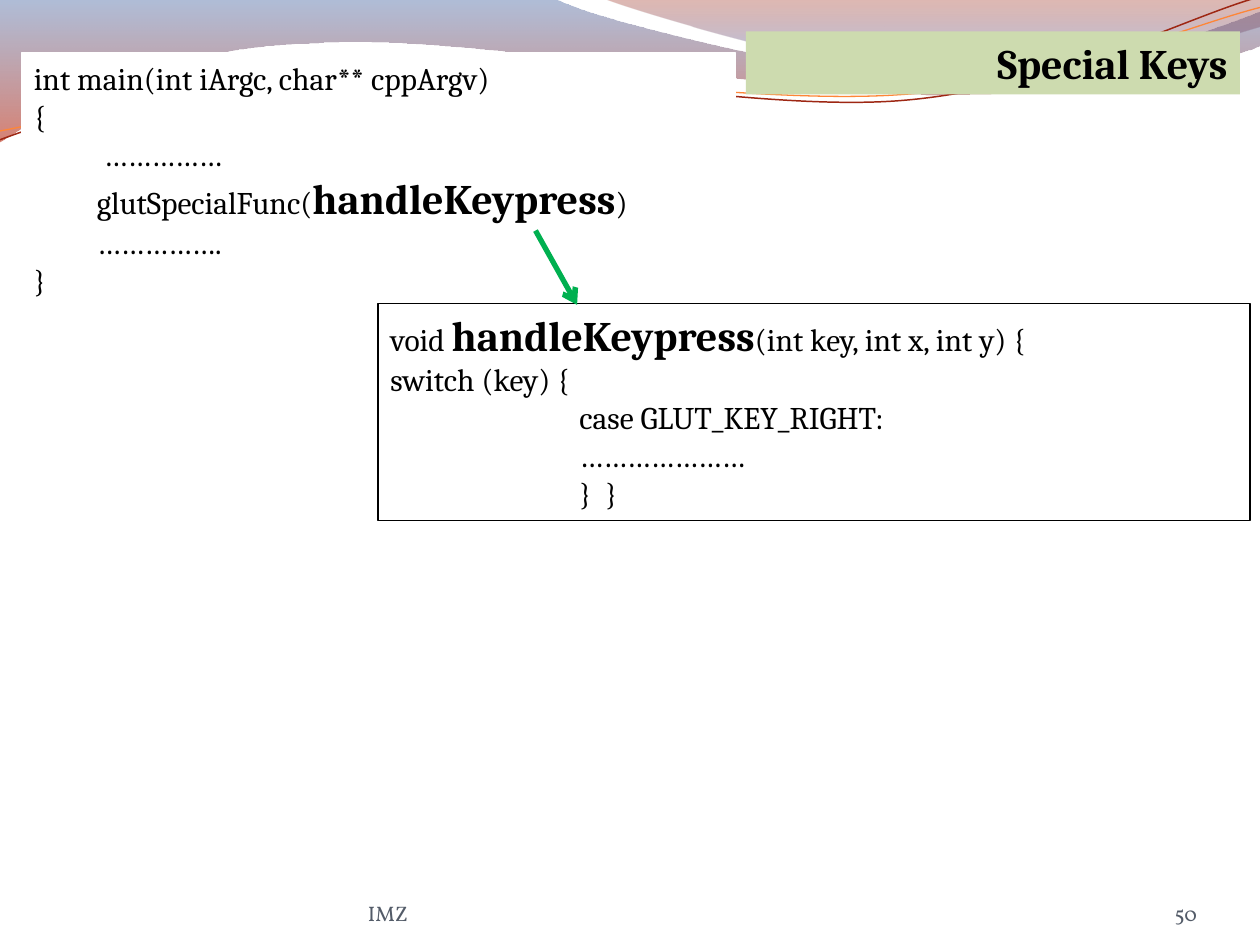
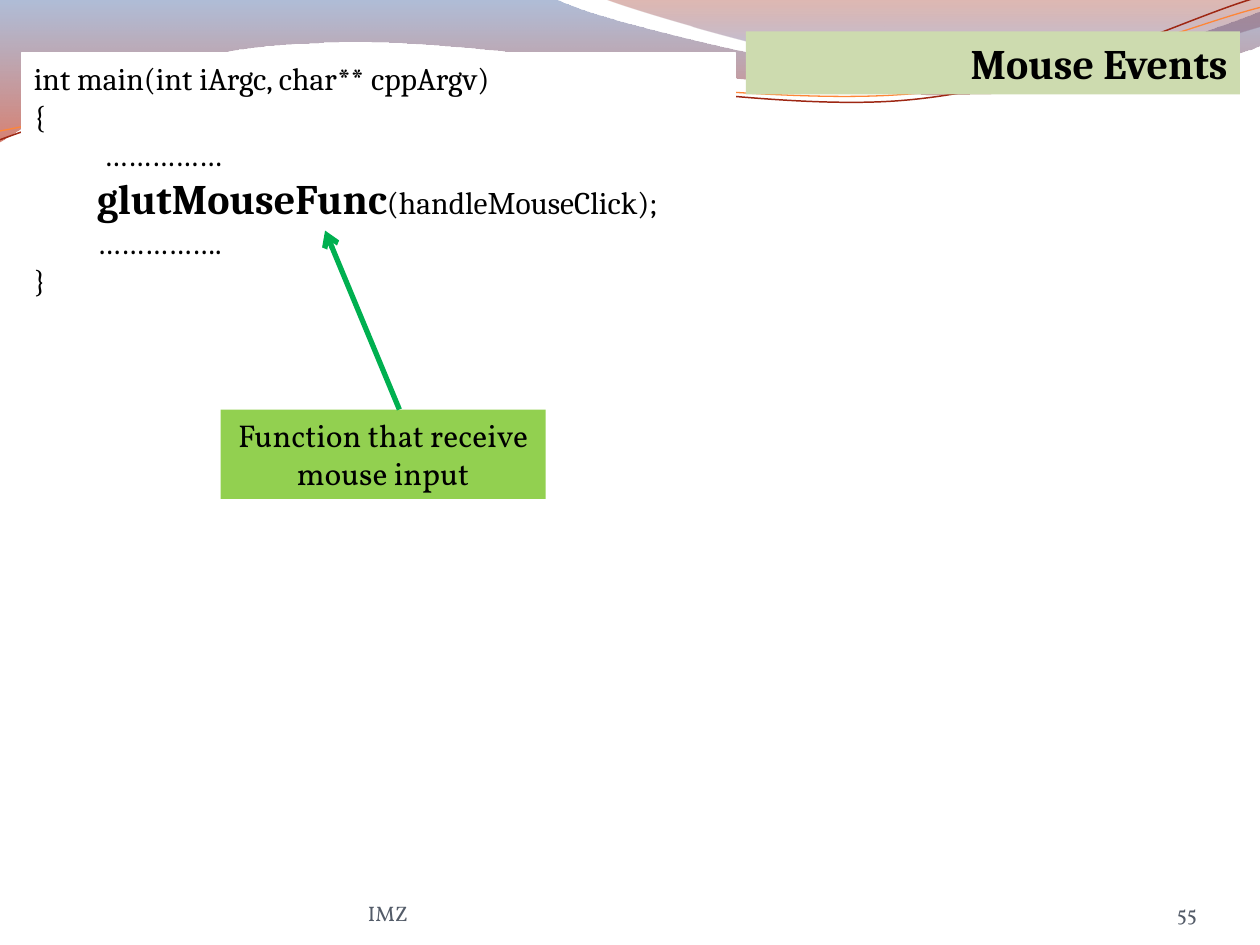
from dataclasses import dataclass
from math import cos, radians, sin
from lxml.etree import SubElement
from pptx import Presentation
from pptx.dml.color import RGBColor
from pptx.enum.shapes import MSO_CONNECTOR as CONN, MSO_SHAPE as SHAPE
from pptx.enum.text import MSO_ANCHOR as ANCHOR, MSO_AUTO_SIZE as FIT, PP_ALIGN as ALIGN
from pptx.oxml.ns import qn
from pptx.util import Inches, Pt


@dataclass(frozen=True)
class Theme:
    code_font: str = "Cambria"
    body_font: str = "Vollkorn"
    title_size: int = 24
    body_size: int = 18
    footer_size: int = 12
    ink: str = "000000"
    paper: str = "FFFFFF"
    footer: str = "535B68"
    title_band: str = "CDDBAF"
    callout: str = "92D050"
    arrow: str = "00B050"
    left_wave: tuple = ((0, "4F6EA8", 45), (1, "B61A00", 55))
    right_wave: tuple = ((0, "951500", 30), (0.8, "5681D1", 45))
    red_line: str = "9E2713"
    orange_line: str = "FE8637"


T = Theme()
RIBBON_TILT = 2.7
MAIN_BOX = (0.17, 0.42, 5.67, 2.02)

LEFT_WAVE = [
    (0, 0), (4.4, -0.01),
    (4.76, 0.17, 6.64, 0.63, 7.58, 0.63),
    (8.53, 0.63, 9.58, 0.26, 10, 0.09),
    (10.01, 0.36),
    (9.83, 0.44, 8.7, 0.76, 7.46, 0.75),
    (6.22, 0.75, 3.82, 0.28, 2.57, 0.34),
    (1.29, 0.36, 0.46, 0.83, -0.01, 1.13),
    (0, 0),
]
RIGHT_WAVE = [
    (4.79, -0.01),
    (5.09, 0.11, 6.82, 0.62, 7.69, 0.65),
    (8.56, 0.69, 9.61, 0.32, 10, 0.21),
    (10, 0), (4.79, -0.01),
]
RED_LINE = [
    (0, 1.11),
    (0.48, 0.93, 1.58, 0.57, 2.77, 0.52),
    (3.95, 0.47, 5.93, 0.89, 7.13, 0.8),
    (8.33, 0.71, 9.38, 0.15, 9.98, -0.02),
]
ORANGE_LINE = [
    (0, 1.04),
    (0.47, 0.96, 1.64, 0.61, 2.83, 0.56),
    (4.03, 0.51, 5.97, 0.84, 7.17, 0.75),
    (8.36, 0.67, 9.41, 0.21, 10, 0.06),
]


def rgb(color):
    return RGBColor.from_string(color)


def pairs(seg):
    return list(zip(seg[::2], seg[1::2]))


def add_outline(slide, outline, close):
    anchors = [tuple(map(Inches, seg[-2:])) for seg in outline]
    builder = slide.shapes.build_freeform(*anchors[0])
    builder.add_line_segments(anchors[1:], close=close)
    sp = builder.convert_to_shape()
    sp.shadow.inherit = False
    for line, seg in zip(list(sp._element.iter(qn("a:lnTo"))), outline[1:]):
        if len(seg) == 6:
            line.addprevious(curve := line.makeelement(qn("a:cubicBezTo")))
            for x, y in pairs(seg):
                SubElement(curve, qn("a:pt"), x=str(Inches(x) - sp.left),
                           y=str(Inches(y) - sp.top))
            line.getparent().remove(line)
    return sp


def add_wave(slide, outline, stops):
    sp = add_outline(slide, outline, True)
    sp.line.fill.background()
    sp.fill.gradient()
    sp.fill.gradient_angle = 270
    for stop, (position, color, _) in zip(sp.fill.gradient_stops, stops):
        stop.position = position
        stop.color.rgb = rgb(color)
    colors = sp._element.spPr.iter(qn("a:srgbClr"))
    for color, (_, _, opacity) in zip(colors, stops):
        SubElement(color, qn("a:alpha"), val=str(opacity * 1000))


def level_out(outline):
    (x0, y0), (x1, y1) = outline[0], outline[-1][-2:]
    cx, cy = (x0 + x1) / 2, (y0 + y1) / 2
    c, s = cos(radians(RIBBON_TILT)), sin(radians(RIBBON_TILT))
    return [tuple(v for x, y in pairs(seg)
                  for v in (cx + (x - cx) * c - (y - cy) * s,
                            cy + (x - cx) * s + (y - cy) * c))
            for seg in outline]


def add_ribbon(slide, outline, color, width):
    sp = add_outline(slide, level_out(outline), False)
    sp.rotation = 360 - RIBBON_TILT
    sp.fill.background()
    sp.line.color.rgb = rgb(color)
    sp.line.width = Pt(width)


def header_waves(slide):
    add_wave(slide, LEFT_WAVE, T.left_wave)
    add_wave(slide, RIGHT_WAVE, T.right_wave)
    add_ribbon(slide, RED_LINE, T.red_line, 0.85)
    add_ribbon(slide, ORANGE_LINE, T.orange_line, 0.75)


def style(p, font, size, color=T.ink, bold=False, align=ALIGN.LEFT):
    p.alignment = align
    p.font.name = font
    p.font.size = Pt(size)
    p.font.bold = bold
    p.font.color.rgb = rgb(color)


def add_box(slide, box, fill=None, line=None):
    sp = slide.shapes.add_shape(SHAPE.RECTANGLE, *map(Inches, box))
    sp.shadow.inherit = False
    if fill:
        sp.fill.solid()
        sp.fill.fore_color.rgb = rgb(fill)
    else:
        sp.fill.background()
    if line:
        sp.line.color.rgb = rgb(line)
        sp.line.width = Pt(0.75)
    else:
        sp.line.fill.background()
    tf = sp.text_frame
    tf.word_wrap = True
    tf.auto_size = FIT.SHAPE_TO_FIT_TEXT
    tf.vertical_anchor = ANCHOR.TOP
    return tf


def code_box(slide, box, lines, fill=None, line=T.ink):
    tf = add_box(slide, box, fill, line)
    for i, (level, *parts) in enumerate(lines):
        p = tf.add_paragraph() if i else tf.paragraphs[0]
        style(p, T.code_font, T.body_size)
        p.level = level
        pPr = p._p.get_or_add_pPr()
        pPr.set("marL", str(Inches(level * 0.5)))
        pPr.set("indent", "0")
        for n, text in enumerate(parts):
            if text:
                r = p.add_run()
                r.text = text
                if n % 2:
                    r.font.size = Pt(T.title_size)
                    r.font.bold = True


def main_code(slide, *call):
    lines = [
        (0, "int main(int iArgc, char** cppArgv)"),
        (0, "{"),
        (1, " ……………"),
        (1, *call),
        (1, "……………."),
        (0, "}"),
    ]
    code_box(slide, MAIN_BOX, lines, T.paper, T.paper)


def title_band(slide, title):
    p = add_box(slide, (5.92, 0.25, 3.92, 0.5), T.title_band).paragraphs[0]
    p.text = title
    style(p, T.code_font, T.title_size, bold=True, align=ALIGN.RIGHT)


def callout(slide, box, text):
    p = add_box(slide, box, T.callout).paragraphs[0]
    p.text = text
    style(p, T.body_font, T.body_size, align=ALIGN.CENTER)


def add_arrow(slide, start, end):
    c = slide.shapes.add_connector(CONN.STRAIGHT, *map(Inches, start + end))
    c.line.color.rgb = rgb(T.arrow)
    c.line.width = Pt(3)
    spPr = c._element.spPr
    SubElement(spPr.find(qn("a:ln")), qn("a:tailEnd"), type="arrow")
    SubElement(spPr, qn("a:effectLst"))


def footer_text(slide, left, width, text, align):
    tb = slide.shapes.add_textbox(*map(Inches, (left, 6.95, width, 0.4)))
    tf = tb.text_frame
    tf.word_wrap = True
    tf.vertical_anchor = ANCHOR.BOTTOM
    tf.margin_left = tf.margin_right = tf.margin_top = tf.margin_bottom = 0
    p = tf.paragraphs[0]
    p.text = text
    style(p, T.body_font, T.footer_size, T.footer, align=align)


def code_slide(prs, title, number, *call):
    slide = prs.slides.add_slide(prs.slide_layouts[6])
    header_waves(slide)
    footer_text(slide, 8.67, 0.83, str(number), ALIGN.RIGHT)
    main_code(slide, *call)
    title_band(slide, title)
    footer_text(slide, 2.92, 3.67, "IMZ", ALIGN.LEFT)
    return slide


def special_keys(prs):
    slide = code_slide(prs, "Special Keys", 50, "glutSpecialFunc(", "handleKeypress", ")")
    code_box(slide, (3, 2.41, 6.92, 1.72), [
        (0, "void ", "handleKeypress", "(int key, int x, int y) {"),
        (0, "switch (key) {"),
        (3, "case GLUT_KEY_RIGHT:"),
        (3, "…………………"),
        (3, "}  }"),
    ])
    add_arrow(slide, (4.25, 1.83), (4.58, 2.42))


def mouse_events(prs):
    slide = code_slide(prs, "Mouse Events", 55, "", "glutMouseFunc", "(handleMouseClick);")
    callout(slide, (1.75, 3.25, 2.58, 0.71), "Function that receive mouse input")
    add_arrow(slide, (3.17, 3.25), (2.58, 1.83))


def main():
    prs = Presentation()
    prs.slide_width, prs.slide_height = Inches(10), Inches(7.5)
    special_keys(prs)
    mouse_events(prs)
    prs.save("out.pptx")


if __name__ == "__main__":
    main()
